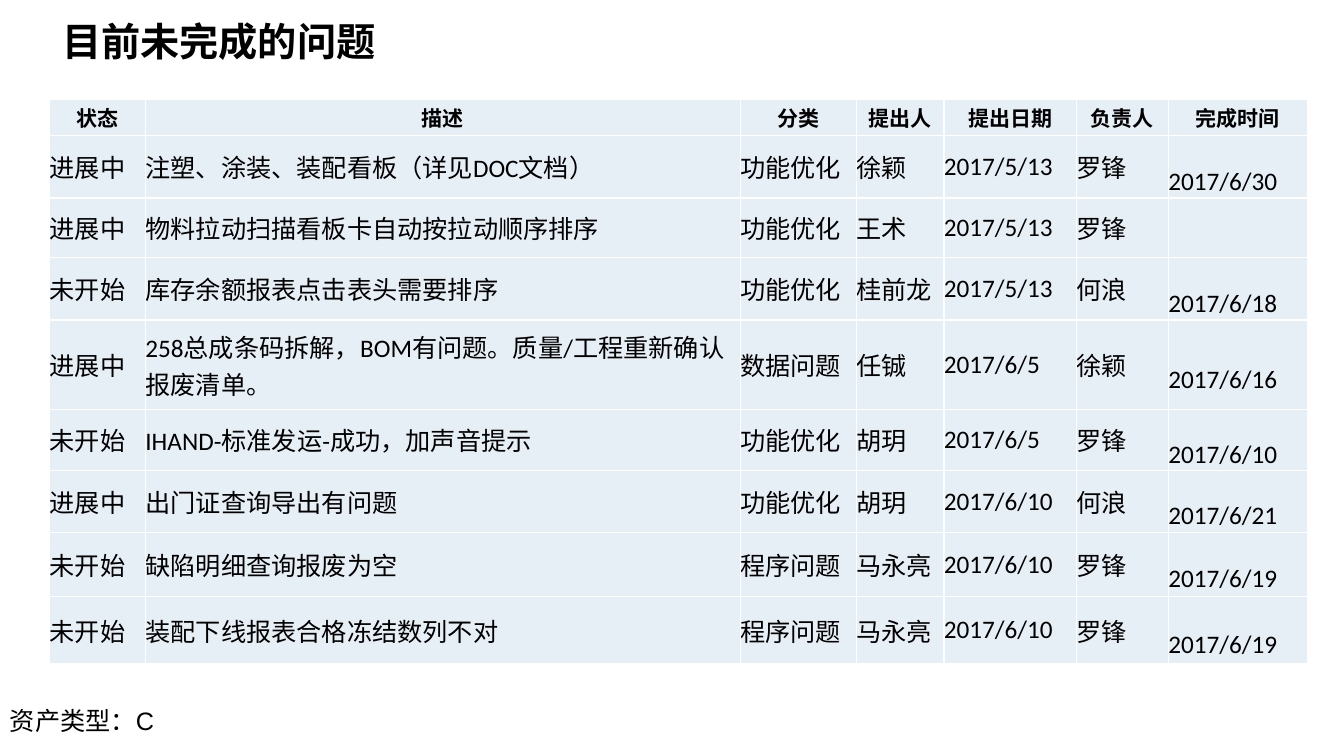
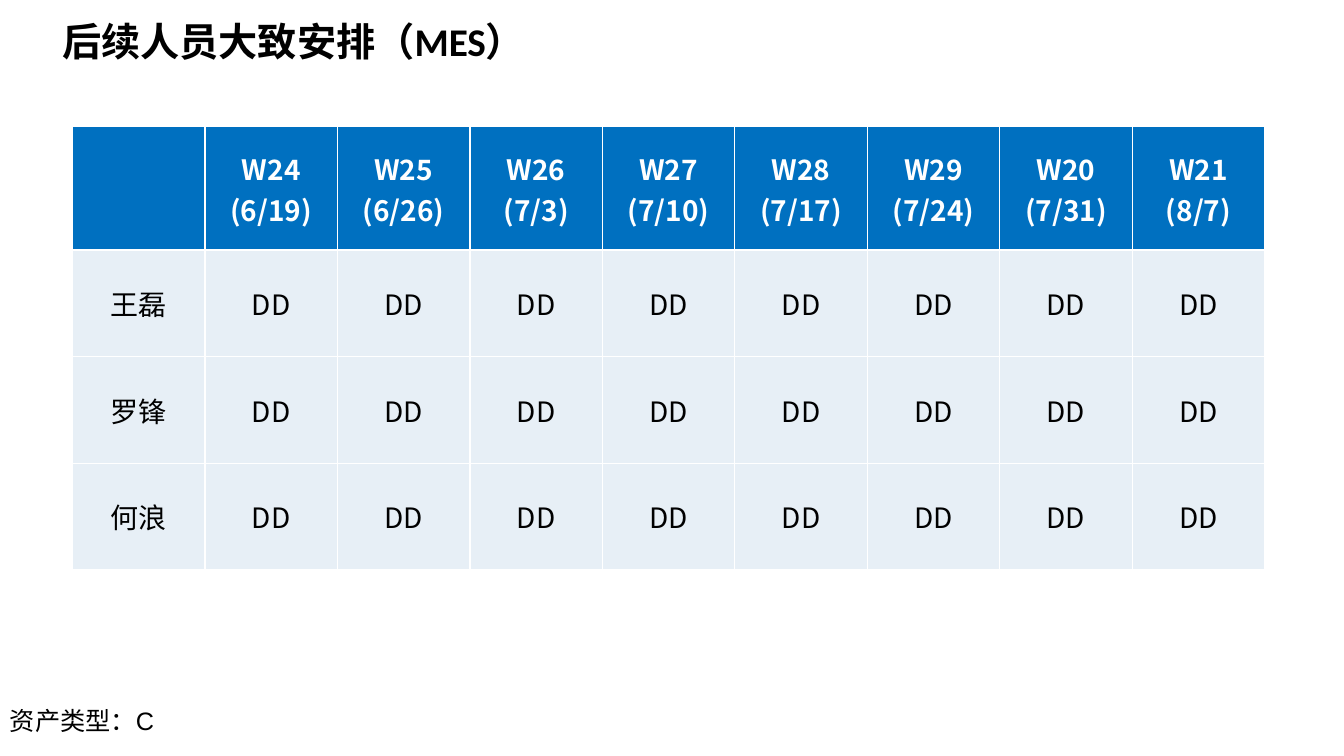
from lxml import etree
from pptx import Presentation
from pptx.dml.color import RGBColor
from pptx.enum.text import MSO_ANCHOR, PP_ALIGN
from pptx.oxml.ns import qn
from pptx.util import Pt

LEFT, CENTER = PP_ALIGN.LEFT, PP_ALIGN.CENTER
MIDDLE = MSO_ANCHOR.MIDDLE

COLORS = {"text": "000000", "white": "FFFFFF", "header": "0070C0", "cell": "E7EFF6"}
LATIN_FONT, CJK_FONT, FOOTER_FONT = "Calibri", "Noto Sans CJK SC", "Arial"
FOOTER = "资产类型：C"

ISSUE_TITLE = "目前未完成的问题"
ISSUE_HEADERS = ["状态", "描述", "分类", "提出人", "提出日期", "负责人", "完成时间"]
ISSUES = [
    ("进展中", "注塑、涂装、装配看板（详见DOC文档）", "功能优化", "徐颖", "2017/5/13", "罗锋", "2017/6/30"),
    ("进展中", "物料拉动扫描看板卡自动按拉动顺序排序", "功能优化", "王术", "2017/5/13", "罗锋", ""),
    ("未开始", "库存余额报表点击表头需要排序", "功能优化", "桂前龙", "2017/5/13", "何浪", "2017/6/18"),
    ("进展中", "258总成条码拆解，BOM有问题。质量/工程重新确认报废清单。", "数据问题", "任铖", "2017/6/5", "徐颖", "2017/6/16"),
    ("未开始", "IHAND-标准发运-成功，加声音提示", "功能优化", "胡玥", "2017/6/5", "罗锋", "2017/6/10"),
    ("进展中", "出门证查询导出有问题", "功能优化", "胡玥", "2017/6/10", "何浪", "2017/6/21"),
    ("未开始", "缺陷明细查询报废为空", "程序问题", "马永亮", "2017/6/10", "罗锋", "2017/6/19"),
    ("未开始", "装配下线报表合格冻结数列不对", "程序问题", "马永亮", "2017/6/10", "罗锋", "2017/6/19"),
]
ISSUE_WIDTHS = [68.4, 424.8, 83, 62.6, 94.5, 65.8, 99.4]
ISSUE_HEIGHTS = [26, 44.6, 42.5, 44.6, 64, 43.4, 44.6, 45.4, 48.2]
DUE_COLUMN = len(ISSUE_HEADERS) - 1
DUE_TOP_MARGIN = 21

PLAN_TITLE = "后续人员大致安排（MES）"
WEEKS = [("W24", "6/19"), ("W25", "6/26"), ("W26", "7/3"), ("W27", "7/10"),
         ("W28", "7/17"), ("W29", "7/24"), ("W20", "7/31"), ("W21", "8/7")]
PEOPLE = ["王磊", "罗锋", "何浪"]
ASSIGNMENT = "DD"
PLAN_WIDTH, PLAN_HEADER_HEIGHT, PLAN_ROW_HEIGHT = 851.8, 88, 76.2


def write_text(frame, text, size=18, font=LATIN_FONT, color="text", bold=False, align=LEFT):
    """Write one paragraph for each line of the text."""
    frame.word_wrap = True
    for index, line in enumerate(text.split("\n")):
        paragraph = frame.add_paragraph() if index else frame.paragraphs[0]
        paragraph.alignment = align
        if not line:
            paragraph.font.size = Pt(size)
            continue
        run = paragraph.add_run()
        run.text = line
        run.font.size = Pt(size)
        run.font.bold = bold
        run.font.name = font
        run.font.color.rgb = RGBColor.from_string(COLORS[color])
        properties = run._r.get_or_add_rPr()
        etree.SubElement(properties, qn("a:ea"), typeface=CJK_FONT)


def add_text_box(slide, text, left, top, width, height, **text_format):
    frame = slide.shapes.add_textbox(Pt(left), Pt(top), Pt(width), Pt(height)).text_frame
    frame.vertical_anchor = MIDDLE
    write_text(frame, text, **text_format)


def add_titled_slide(presentation, title):
    slide = presentation.slides.add_slide(presentation.slide_layouts[6])
    add_text_box(slide, title, 37.4, 8.6, 718.6, 41, size=28, bold=True)
    add_text_box(slide, FOOTER, 0, 500.4, 224, 28.8, font=FOOTER_FONT)
    return slide


def add_borders(cell):
    properties = cell._tc.get_or_add_tcPr()
    for side in ("a:lnL", "a:lnR", "a:lnT", "a:lnB"):
        line = etree.SubElement(properties, qn(side), w=str(Pt(1)))
        fill = etree.SubElement(line, qn("a:solidFill"))
        etree.SubElement(fill, qn("a:srgbClr"), val=COLORS["white"])


def add_grid(slide, left, top, widths, heights, rows, header_fill, header_format, body_format):
    """Add a table whose first row is the header."""
    table = slide.shapes.add_table(len(rows), len(widths), Pt(left), Pt(top),
                                   Pt(sum(widths)), Pt(sum(heights))).table
    table.horz_banding = False
    for column, width in zip(table.columns, widths):
        column.width = Pt(width)
    for row_index, (row, height, texts) in enumerate(zip(table.rows, heights, rows)):
        row.height = Pt(height)
        for cell, text in zip(row.cells, texts):
            add_borders(cell)
            cell.fill.solid()
            fill = "cell" if row_index else header_fill
            cell.fill.fore_color.rgb = RGBColor.from_string(COLORS[fill])
            cell.margin_left = cell.margin_right = cell.margin_top = cell.margin_bottom = 0
            cell.vertical_anchor = MIDDLE
            write_text(cell.text_frame, text, **(body_format if row_index else header_format))
    return table


def build_issue_slide(presentation):
    slide = add_titled_slide(presentation, ISSUE_TITLE)
    table = add_grid(slide, 35.5, 70.9, ISSUE_WIDTHS, ISSUE_HEIGHTS, [ISSUE_HEADERS, *ISSUES],
                     "cell", {"size": 15, "bold": True, "align": CENTER}, {"size": 18})
    for row_index, issue in enumerate(ISSUES, start=1):
        if issue[DUE_COLUMN]:
            table.cell(row_index, DUE_COLUMN).margin_top = Pt(DUE_TOP_MARGIN)


def build_plan_slide(presentation):
    slide = add_titled_slide(presentation, PLAN_TITLE)
    headers = [""] + [f"{week}\n({date})" for week, date in WEEKS]
    rows = [headers] + [[person] + [ASSIGNMENT] * len(WEEKS) for person in PEOPLE]
    widths = [PLAN_WIDTH / len(headers)] * len(headers)
    heights = [PLAN_HEADER_HEIGHT] + [PLAN_ROW_HEIGHT] * len(PEOPLE)
    body_format = {"size": 20, "font": CJK_FONT, "align": CENTER}
    header_format = {**body_format, "color": "white", "bold": True}
    add_grid(slide, 51.8, 90.6, widths, heights, rows, "header", header_format, body_format)


def main():
    presentation = Presentation()
    presentation.slide_width, presentation.slide_height = Pt(960), Pt(540)
    build_issue_slide(presentation)
    build_plan_slide(presentation)
    presentation.save("out.pptx")


if __name__ == "__main__":
    main()
